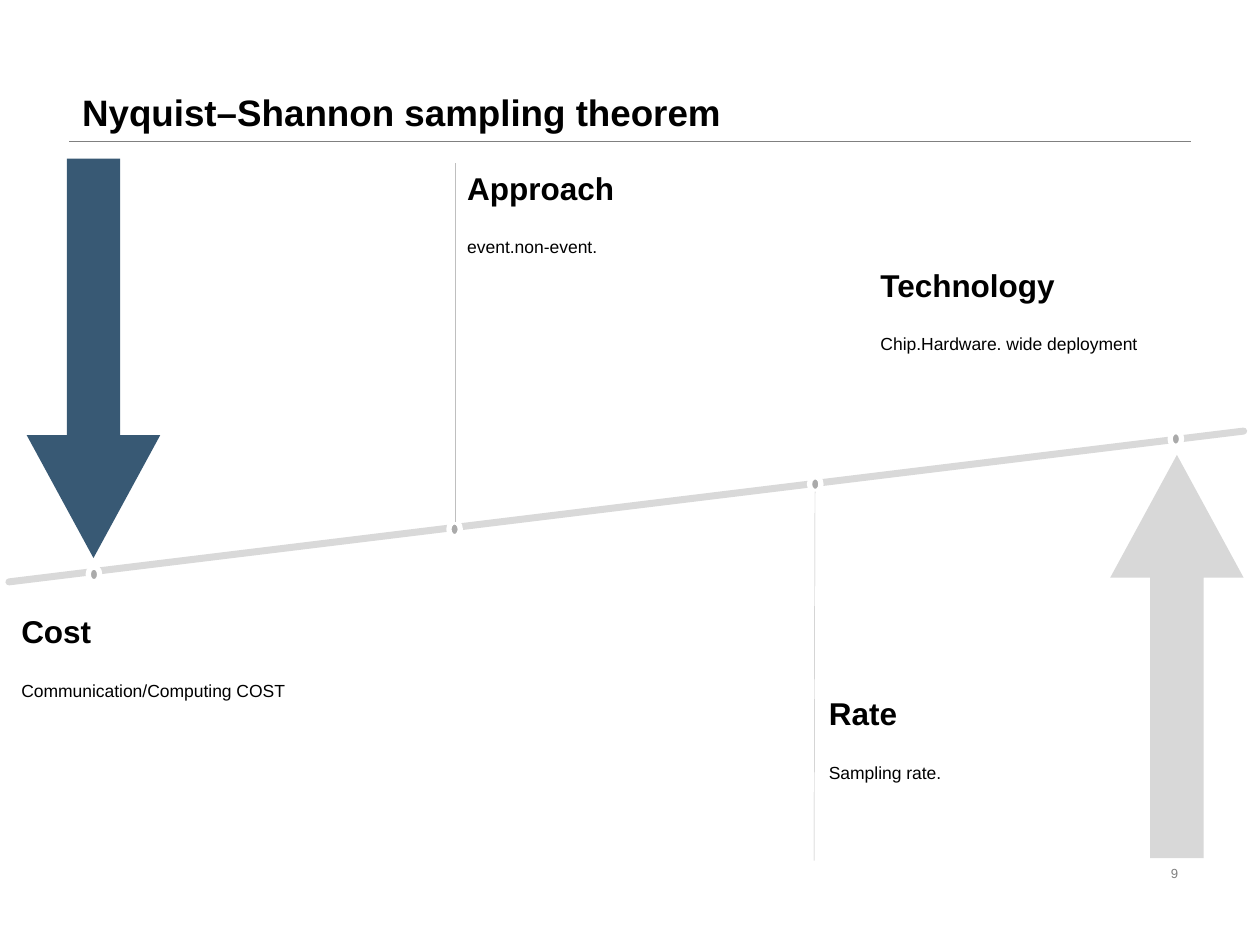
from lxml import etree
from pptx import Presentation
from pptx.dml.color import RGBColor
from pptx.enum import shapes, text
from pptx.oxml.ns import qn
from pptx.util import Cm, Pt

FONT = "Arial"
LABELS = [  # heading, body, left, top, width
    ("Cost", "Communication/Computing COST", 0.18, 12.22, 7.52),
    ("Approach", "event.non-event.", 9.17, 3.28, 4.67),
    ("Rate", "Sampling rate.", 16.46, 13.87, 4.67),
    ("Technology", "Chip.Hardware. wide deployment", 17.5, 5.23, 7.52),
]


def rgb(color):
    return RGBColor.from_string(color)


def write(tf, words, size, color="000000", bold=False, spacing=None,
          align=text.PP_ALIGN.LEFT, anchor=text.MSO_ANCHOR.TOP):
    tf.word_wrap = True
    tf.auto_size = text.MSO_AUTO_SIZE.NONE
    tf.vertical_anchor = anchor
    p = tf.paragraphs[0]
    p.alignment = align
    p.line_spacing = spacing
    r = p.add_run()
    r.text = words
    r.font.name, r.font.size, r.font.bold = FONT, Pt(size), bold
    r.font.color.rgb = rgb(color)


def add_text(s, words, x, y, w, h, **fmt):
    sp = s.shapes.add_textbox(Cm(x), Cm(y), Cm(w), Cm(h))
    write(sp.text_frame, words, **fmt)


def add_title(s, words):
    sp = s.shapes.title
    sp.left, sp.top, sp.width, sp.height = Cm(1.4), Cm(0), Cm(22.6), Cm(2.84)
    write(sp.text_frame, words, size=21, bold=True, spacing=0.9,
          anchor=text.MSO_ANCHOR.BOTTOM)


def add_line(s, x1, y1, x2, y2, color, width, cap="flat"):
    ln = s.shapes.add_connector(shapes.MSO_CONNECTOR.STRAIGHT,
                                Cm(x1), Cm(y1), Cm(x2), Cm(y2))
    ln.line.color.rgb = rgb(color)
    ln.line.width = Pt(width)
    sp_pr = ln._element.spPr
    sp_pr.find(qn("a:ln")).set("cap", cap)
    etree.SubElement(sp_pr, qn("a:effectLst"))


def add_filled(s, kind, x, y, w, h, fill, outline=None):
    sp = s.shapes.add_shape(kind, Cm(x), Cm(y), Cm(w), Cm(h))
    sp.shadow.inherit = False
    sp.fill.solid()
    sp.fill.fore_color.rgb = rgb(fill)
    if outline:
        sp.line.color.rgb = rgb(outline)
        sp.line.width = Pt(3)
    else:
        sp.line.fill.background()
    return sp


def add_arrow(s, x, y, h, fill, rotation=0):
    sp = add_filled(s, shapes.MSO_SHAPE.DOWN_ARROW, x, y, 2.69, h, fill)
    sp.adjustments[0], sp.adjustments[1] = 0.4, 0.92
    sp.rotation = rotation


def add_label(s, heading, body, x, y, w):
    add_text(s, body, x, y + 1.15, w, 2.29, size=10, spacing=1.5)
    add_text(s, heading, x, y, w, 1.16, size=18, bold=True)


def main():
    prs = Presentation()
    prs.slide_width, prs.slide_height = Cm(25.4), Cm(19.05)
    s = prs.slides.add_slide(prs.slide_layouts[5])

    add_line(s, 1.4, 2.84, 24, 2.84, "808080", 0.25)
    add_title(s, "Nyquist–Shannon sampling theorem")
    add_text(s, "9", 17.93, 17.32, 6.07, 0.58, size=7.5, color="808080",
             align=text.PP_ALIGN.RIGHT, anchor=text.MSO_ANCHOR.MIDDLE)

    add_line(s, 0.18, 11.73, 25.07, 8.69, "D9D9D9", 4, cap="rnd")
    add_arrow(s, 0.54, 3.2, 8.05, "385974")
    add_arrow(s, 22.38, 9.17, 8.13, "D8D8D8", rotation=180)
    for i in range(4):
        add_filled(s, shapes.MSO_SHAPE.OVAL, 1.78 + 7.27 * i, 11.43 - 0.91 * i,
                   0.23, 0.3, "AAAAAA", outline="FFFFFF")

    for label in LABELS:
        add_label(s, *label)
    add_line(s, 16.43, 9.91, 16.41, 17.35, "BFBFBF", 0.25)
    add_line(s, 9.17, 10.52, 9.17, 3.28, "BFBFBF", 0.25)

    prs.save("out.pptx")


if __name__ == "__main__":
    main()
